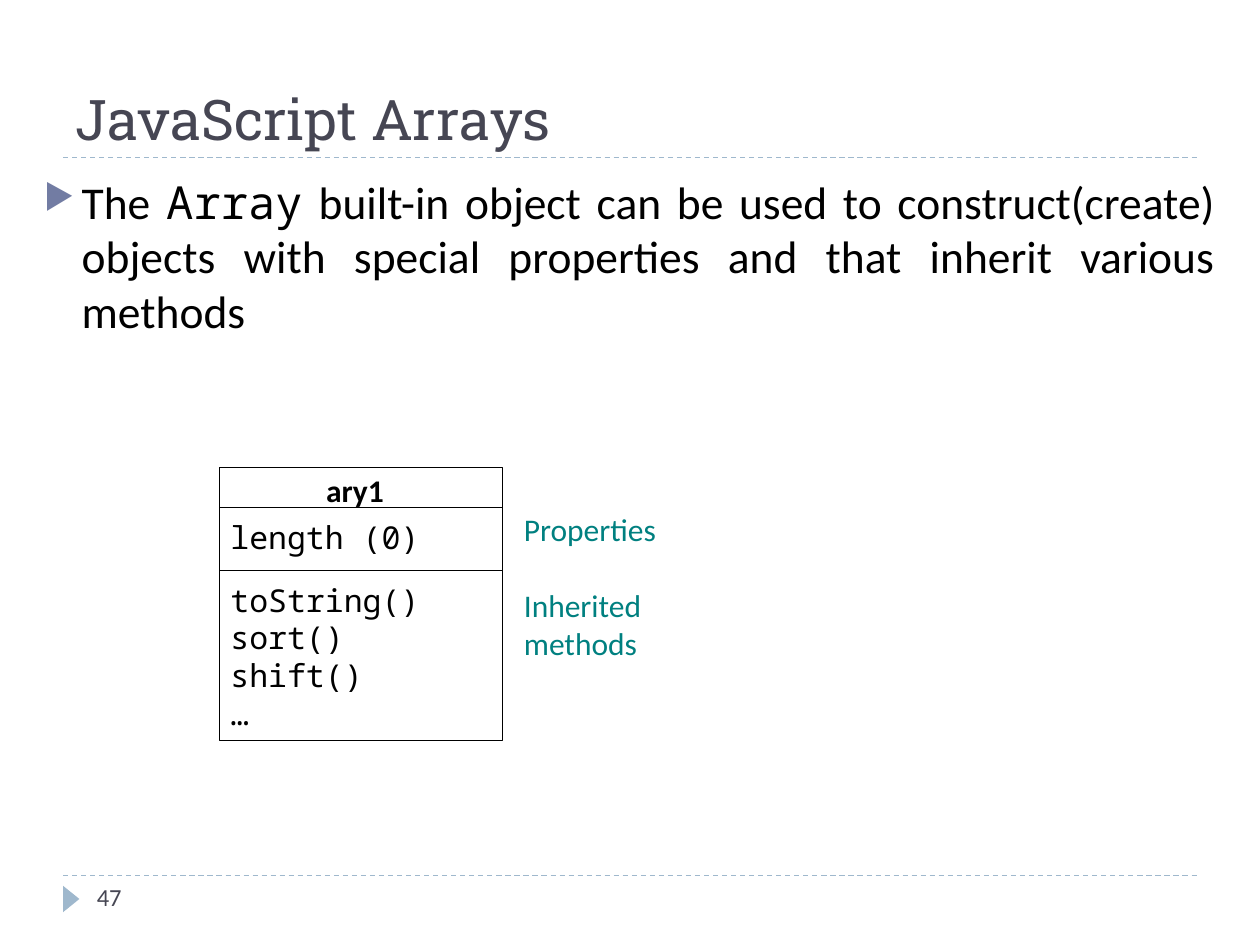
"""Build the JavaScript Arrays slide with an object diagram."""
import pptx
import pptx.dml.color
import pptx.enum.dml
import pptx.enum.shapes
import pptx.enum.text
import pptx.oxml
import pptx.oxml.ns
import pptx.util

COLORS = {"black": "000000", "title": "464653", "rule": "9FB8CD",
          "bullet": "727CA3", "label": "008080"}
SANS, MONO, SLAB = "Calibri", "Noto Sans Mono", "Roboto Slab"
COLUMNS, ROWS = 100, 75


class Painter:
    """Hold the deck, its current slide and the drawing style."""

    def __init__(self):
        self.deck = pptx.Presentation()
        self.deck.slide_width = pptx.util.Inches(10)
        self.deck.slide_height = pptx.util.Inches(7.5)
        self.slide = self.deck.slides.add_slide(self.deck.slide_layouts[6])

    def place(self, *cells):
        """Turn alternating columns and rows into lengths."""
        units = (self.deck.slide_width / COLUMNS, self.deck.slide_height / ROWS)
        return [round(cell * units[index % 2]) for index, cell in enumerate(cells)]

    def color(self, name):
        """Return the named colour."""
        return pptx.dml.color.RGBColor.from_string(COLORS[name])

    def stroke(self, line, color):
        """Apply the common thin outline."""
        line.color.rgb = self.color(color)
        line.width = pptx.util.Pt(0.75)

    def rule(self, left, right, row, color="black", dashed=False):
        """Draw a horizontal line."""
        connector = self.slide.shapes.add_connector(
            pptx.enum.shapes.MSO_CONNECTOR.STRAIGHT, *self.place(left, row, right, row))
        self.stroke(connector.line, color)
        if dashed:
            connector.line.dash_style = pptx.enum.dml.MSO_LINE.DASH
        properties = connector._element.spPr
        properties.append(pptx.oxml.parse_xml(f"<a:effectLst {pptx.oxml.ns.nsdecls('a')}/>"))

    def shape(self, kind, cells, fill=None, line=None, rotation=0):
        """Draw a preset shape."""
        shape = self.slide.shapes.add_shape(kind, *self.place(*cells))
        shape.shadow.inherit = False
        shape.rotation = rotation
        if fill:
            shape.fill.solid()
            shape.fill.fore_color.rgb = self.color(fill)
        else:
            shape.fill.background()
        if line:
            self.stroke(shape.line, line)
        else:
            shape.line.fill.background()

    def style(self, para, size, color, face=None, bold=None):
        """Set the font of a paragraph."""
        para.font.size = pptx.util.Pt(size)
        para.font.color.rgb = self.color(color)
        para.font.name = face
        para.font.bold = bold

    def text(self, cells, lines, size=18, color="black", face=SANS, bold=None, wrap=False):
        """Add a text box with one paragraph per line and return its frame."""
        box = self.slide.shapes.add_textbox(*self.place(*cells))
        frame = box.text_frame
        frame.word_wrap = wrap
        frame.text = "\n".join(lines)
        for para in frame.paragraphs:
            self.style(para, size, color, face, bold)
        return frame

    def bullet(self, cells, spans, size):
        """Add a justified bullet made of spans with their own faces."""
        box = self.slide.shapes.add_textbox(*self.place(*cells))
        box.text_frame.word_wrap = True
        para = box.text_frame.paragraphs[0]
        para.alignment = pptx.enum.text.PP_ALIGN.JUSTIFY
        properties = para._p.get_or_add_pPr()
        indent = pptx.util.Inches(0.3)
        properties.set("marL", str(indent))
        properties.set("indent", str(-indent))
        namespace = pptx.oxml.ns.nsdecls("a")
        for markup in (f'<a:buClr {namespace}><a:srgbClr val="{COLORS["bullet"]}"/></a:buClr>',
                       f'<a:buSzPct {namespace} val="76000"/>',
                       f'<a:buChar {namespace} char="▶"/>'):
            properties.append(pptx.oxml.parse_xml(markup))
        self.style(para, size, "black")
        for words, face in spans:
            span = para.add_run()
            span.text = words
            span.font.name = face


def main():
    """Draw the slide and save it."""
    painter = Painter()
    shapes = pptx.enum.shapes.MSO_SHAPE
    for row in (69.5, 12.5):
        painter.rule(5, 95, row, "rule", dashed=True)
    painter.shape(shapes.ISOSCELES_TRIANGLE, (4.6, 70.7, 2.1, 1.3), fill="rule", rotation=90)

    title = painter.text((5, 1.7, 90, 10.8), ["JavaScript Arrays"], 32, "title", SLAB, wrap=True)
    title.vertical_anchor = pptx.enum.text.MSO_ANCHOR.BOTTOM
    painter.bullet((2.5, 13.3, 95, 55.8), [
        ("The ", SANS), ("Array", MONO),
        (" built-in object can be used to construct(create) objects with special"
         " properties and that inherit various methods", SANS)], 26)

    left, width = 17.4, 22.5
    painter.shape(shapes.RECTANGLE, (left, 37.1, width, 21.7), line="black")
    for row in (40.3, 45.3):
        painter.rule(left, left + width, row)
    painter.text((24.9, 36.9, 7.2, 4), ["ary1"], bold=True)
    painter.text((17.3, 40.6, 17.1, 4), ["length (0)"], face=MONO)
    painter.text((17.3, 45.6, 17.1, 13), ["toString()", "sort()", "shift()", "…"], face=MONO)
    labels = painter.text((40.6, 40, 13.4, 13), ["Properties", "Inherited", "methods"],
                          color="label")
    labels.paragraphs[1].space_before = pptx.util.Pt(22)
    painter.text((6.7, 69.5, 21.7, 4), ["47"], 14, "title", wrap=True)
    painter.deck.save("out.pptx")


if __name__ == "__main__":
    main()
